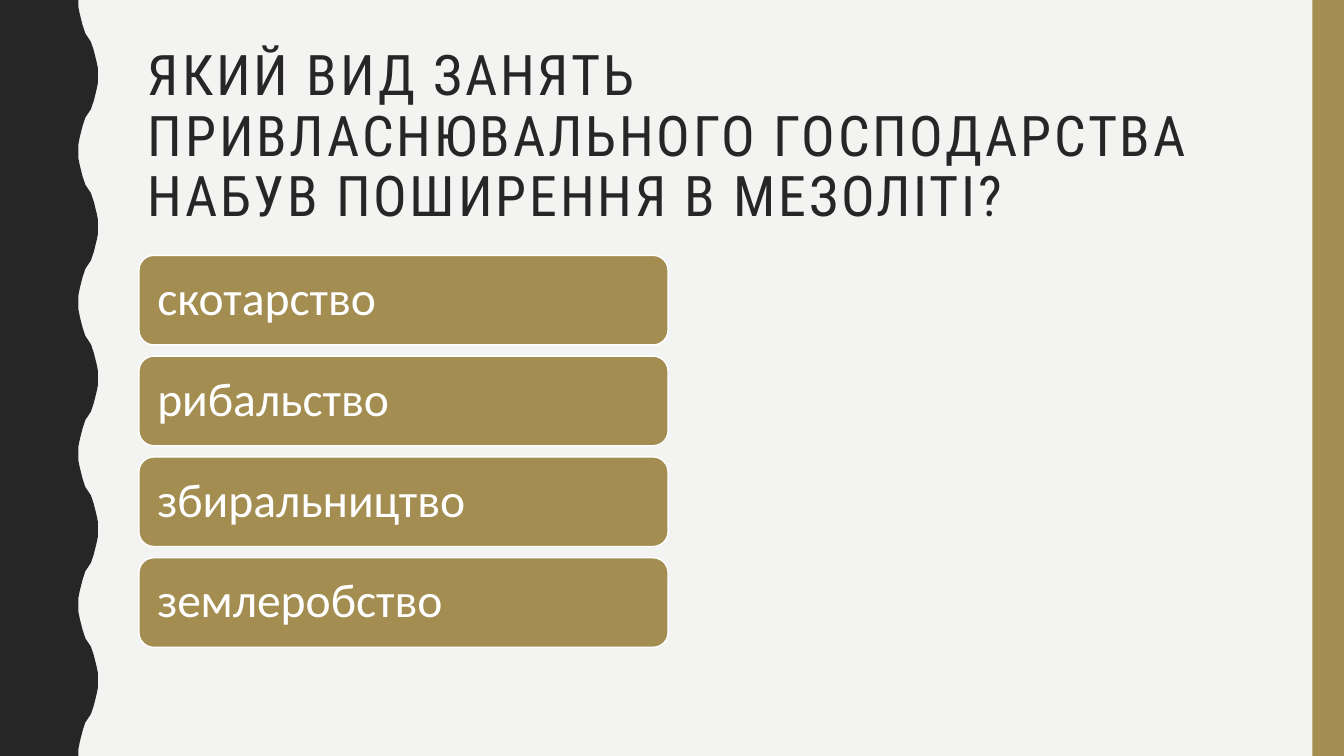
import pptx
import pptx.util
import pptx.dml.color
import pptx.enum.shapes
import pptx.enum.text
from dataclasses import dataclass

Pt = pptx.util.Pt
RGB = pptx.dml.color.RGBColor.from_string
SHAPE = pptx.enum.shapes.MSO_SHAPE


@dataclass(frozen=True)
class Theme:
    paper: str = "F3F3F2"
    dark: str = "262626"
    gold: str = "A38D51"
    white: str = "FFFFFF"
    title_font: str = "Roboto Condensed"
    body_font: str = "Calibri"
    title_size: int = 40
    body_size: int = 34


THEME = Theme()
QUESTION = "ЯКИЙ ВИД ЗАНЯТЬ ПРИВЛАСНЮВАЛЬНОГО ГОСПОДАРСТВА НАБУВ ПОШИРЕННЯ В МЕЗОЛІТІ?"
ANSWERS = ["скотарство", "рибальство", "збиральництво", "землеробство"]


def style_shape(sp, color):
    sp.shadow.inherit = False
    sp.fill.solid()
    sp.fill.fore_color.rgb = RGB(color)
    sp.line.fill.background()


def style_text(p, font, size, color):
    p.alignment = pptx.enum.text.PP_ALIGN.LEFT
    p.line_spacing = 0.9
    for r in p.runs:
        r.font.name = font
        r.font.size = Pt(size)
        r.font.color.rgb = RGB(color)


def add_wavy_edge(s, x, y, w, h, waves=5, depth=14):
    period = h / waves
    half = period / 2
    quarter = [(0, 0), (0.3, 5), (0.8, 10), (1.6, 14.4), (2.6, 18),
               (3.8, 21), (5.2, 24), (7, 27)]
    crest = quarter + [(depth - dx, half - dy) for dx, dy in quarter[-2::-1]]
    wave = crest + [(dx, period - dy) for dx, dy in crest[-2::-1]]
    edge = [(x + w - depth + dx, y + i * period + dy)
            for i in range(waves) for dx, dy in wave]
    fb = s.shapes.build_freeform(x, y, scale=Pt(1))
    fb.add_line_segments(edge + [(x, y + h)], close=True)
    style_shape(fb.convert_to_shape(), THEME.dark)


def add_side_bar(s, x, y, w, h):
    sp = s.shapes.add_shape(SHAPE.RECTANGLE, Pt(x), Pt(y), Pt(w), Pt(h))
    style_shape(sp, THEME.gold)


def add_title(s, x, y, w, h):
    tf = s.shapes.add_textbox(Pt(x), Pt(y), Pt(w), Pt(h)).text_frame
    tf.word_wrap = True
    tf.text = QUESTION
    p = tf.paragraphs[0]
    style_text(p, THEME.title_font, THEME.title_size, THEME.dark)
    for r in p.runs:
        r.font._element.set("spc", "200")


def add_answers(s, x, y, w, h, gap=8):
    card_h = (h - gap * (len(ANSWERS) - 1)) / len(ANSWERS)
    for i, answer in enumerate(ANSWERS):
        top = y + i * (card_h + gap)
        sp = s.shapes.add_shape(SHAPE.ROUNDED_RECTANGLE, Pt(x), Pt(top), Pt(w), Pt(card_h))
        style_shape(sp, THEME.gold)
        sp.line.color.rgb = RGB(THEME.white)
        sp.line.width = Pt(1)
        tf = sp.text_frame
        tf.word_wrap = True
        tf.vertical_anchor = pptx.enum.text.MSO_ANCHOR.MIDDLE
        tf.margin_left = tf.margin_right = Pt(10)
        tf.text = answer
        style_text(tf.paragraphs[0], THEME.body_font, THEME.body_size, THEME.white)


def main():
    prs = pptx.Presentation()
    prs.slide_width, prs.slide_height = Pt(960), Pt(540)
    s = prs.slides.add_slide(prs.slide_layouts[6])
    s.background.fill.solid()
    s.background.fill.fore_color.rgb = RGB(THEME.paper)
    add_wavy_edge(s, 0, 0, 70, 540)
    add_side_bar(s, 937.5, 0, 22.5, 540)
    add_title(s, 98.6, 30.2, 801.4, 117.4)
    add_answers(s, 99.2, 182.4, 378, 280)
    prs.save("out.pptx")


if __name__ == "__main__":
    main()
